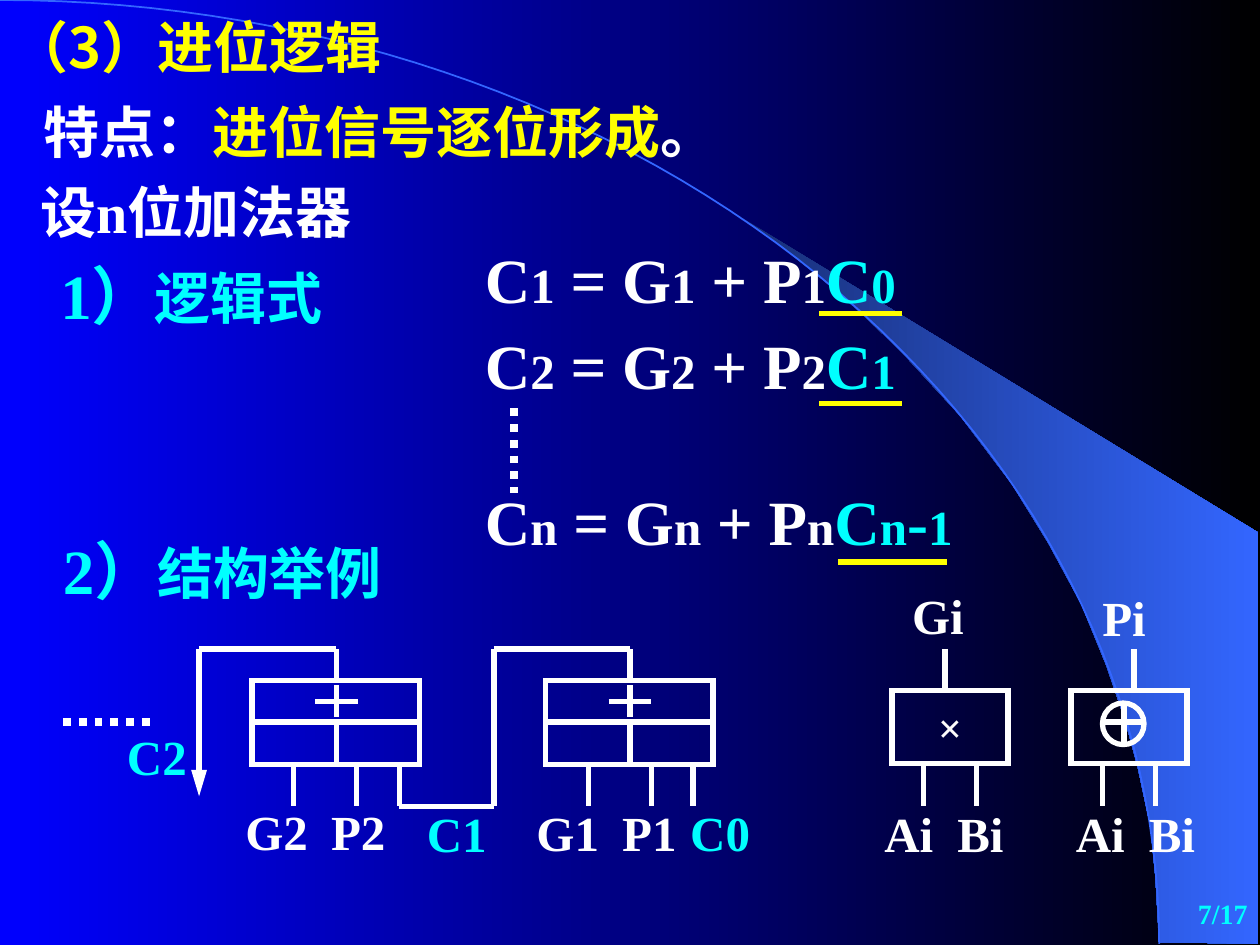
"""Build the carry logic slide: equations, adder chain and gate symbols."""
from math import cos, pi, sin

from lxml.etree import SubElement
from pptx import Presentation
from pptx.dml.color import RGBColor
from pptx.enum.dml import MSO_LINE
from pptx.enum.shapes import MSO_CONNECTOR, MSO_SHAPE
from pptx.enum.text import MSO_ANCHOR, PP_ALIGN
from pptx.oxml.ns import qn
from pptx.util import Cm, Pt

WHITE, YELLOW, CYAN, SKY = "FFFFFF", "FFFF00", "00FFFF", "3366FF"
SERIF, SANS = "Times New Roman", "Noto Sans CJK SC"
BIG, MEDIUM, SMALL = 36, 32, 28

HEADINGS = [
    (0, 38.5, [("（3）进位逻辑", MEDIUM, YELLOW, SANS)]),
    (0.25, 41, [("特点：", MEDIUM, WHITE), ("进位信号逐位形成", MEDIUM, YELLOW), ("。", MEDIUM, WHITE)]),
    (0.22, 38, [("设n位加法器", MEDIUM, WHITE)]),
    (0.38, 42.5, [("1）", BIG, CYAN), ("逻辑式", MEDIUM, CYAN)]),
]
EXAMPLE = [(0, 44, [("2）", BIG, CYAN), ("结构举例", MEDIUM, CYAN)])]
EQUATIONS = [
    ("1", [("0", SMALL)]),
    ("2", [("1", SMALL)]),
    ("n", [("n", SMALL), ("-", BIG), ("1", SMALL)]),
]
LABELS = [
    ("C2", 0.91, 5.72, CYAN), ("C1", 3.29, 6.33, CYAN),
    ("G2", 1.85, 6.31, WHITE), ("P2", 2.53, 6.31, WHITE),
    ("G1", 4.16, 6.32, WHITE), ("P1", 4.84, 6.32, WHITE), ("C0", 5.38, 6.32, CYAN),
    ("Gi", 7.14, 4.6, WHITE), ("Ai", 6.92, 6.33, WHITE), ("Bi", 7.5, 6.33, WHITE),
    ("Pi", 8.65, 4.61, WHITE), ("Ai", 8.44, 6.33, WHITE), ("Bi", 9.02, 6.33, WHITE),
]
UNDERLINES = [(6.5, 7.16, 2.49), (6.5, 7.16, 3.2), (6.65, 7.52, 4.46)]
DOTTED = [(4.08, 3.24, 4.08, 3.91), (0.5, 5.73, 1.25, 5.73)]
ADDERS = [(2, (2.33, 2.83)), (4.33, (4.67, 5.17, 5.5))]
GATES = [(7.08, 7.5, (7.33, 7.75)), (8.5, 9, (8.75, 9.17))]
CARRIES = [
    (3.17, 6.07, 3.17, 6.4), (3.17, 6.4, 3.92, 6.4), (3.92, 6.4, 3.92, 5.15),
    (3.92, 5.15, 5, 5.15), (2.67, 5.15, 1.58, 5.15),
]
BEAM = [
    (9.2, 7.48), (9.99, 7.49), (9.99, 4.23), (5.89, 1.73), (6.24, 1.99), (6.53, 2.22),
    (6.85, 2.5), (7.16, 2.8), (7.62, 3.3), (8.03, 3.84), (8.32, 4.31), (8.58, 4.79),
    (8.78, 5.28), (8.93, 5.72), (9.03, 6.09), (9.13, 6.56), (9.17, 6.96),
]
ARC = [(9.2 * sin(step * pi / 120), 7.49 * (1 - cos(step * pi / 120))) for step in range(61)]


def inch(value):
    return Cm(2.54 * value)


def color(value):
    return RGBColor.from_string(value)


def shade(fill, start, end):
    fill.gradient()
    fill.gradient_angle = 0
    for stop, value in zip(fill.gradient_stops, (start, end)):
        stop.color.rgb = color(value)


def style_line(line, value=WHITE, width=3):
    line.color.rgb = color(value)
    line.width = Pt(width)


def add_line(page, ends, value=WHITE, width=3):
    line = page.shapes.add_connector(MSO_CONNECTOR.STRAIGHT, *map(inch, ends))
    style_line(line.line, value, width)
    SubElement(line._element.spPr, qn("a:effectLst"))
    return line


def add_outline(page, points, close):
    corners = [(inch(x), inch(y)) for x, y in points]
    builder = page.shapes.build_freeform(*corners[0])
    builder.add_line_segments(corners[1:], close=close)
    shape = builder.convert_to_shape()
    shape.shadow.inherit = False
    return shape


def add_frame(page, kind, *place):
    shape = page.shapes.add_shape(kind, *map(inch, place))
    shape.shadow.inherit = False
    shape.fill.background()
    style_line(shape.line)
    SubElement(shape.line._get_or_add_ln(), qn("a:miter"), lim="800000")
    return shape


def add_span(para, text, size, value, face=SERIF):
    span = para.add_run()
    span.text = text
    span.font.size = Pt(size)
    span.font.bold = True
    span.font.name = face
    span.font.color.rgb = color(value)
    SubElement(span._r.get_or_add_rPr(), qn("a:ea"), typeface=SANS)


def add_text(page, place, paragraphs, gap=7.5):
    box = page.shapes.add_textbox(*map(inch, place))
    frame = box.text_frame
    frame.word_wrap = True
    for index, (indent, height, spans) in enumerate(paragraphs):
        para = frame.paragraphs[0] if index == 0 else frame.add_paragraph()
        para.space_before = Pt(gap if index else 0)
        para.line_spacing = Pt(height) if height else None
        para._p.get_or_add_pPr().set("marL", str(inch(indent)))
        for span in spans:
            add_span(para, *span)
    return frame


def equation(index, previous):
    spans = []
    for symbol in ("C", " = G", " + P"):
        spans += [(symbol, BIG, WHITE), (index, SMALL, WHITE)]
    return 0, None, spans + [("C", BIG, CYAN)] + [(text, size, CYAN) for text, size in previous]


def add_backdrop(page):
    shade(page.background.fill, "0000FF", "000000")
    beam = add_outline(page, BEAM, True)
    shade(beam.fill, "182F76", SKY)
    beam.line.fill.background()
    arc = add_outline(page, ARC, False)
    arc.fill.background()
    style_line(arc.line, SKY, 1)


def add_adder(page, left, inputs):
    middle = left + 0.67
    add_frame(page, MSO_SHAPE.RECTANGLE, left, 5.4, 1.33, 0.67)
    for ends in [
        (left, 5.73, left + 1.33, 5.73), (middle, 5.73, middle, 6.07),
        (middle - 0.17, 5.57, middle + 0.17, 5.57), (middle, 5.44, middle, 5.69),
        (middle, 5.15, middle, 5.4),
    ] + [(x, 6.07, x, 6.4) for x in inputs]:
        add_line(page, ends)


def add_gate(page, left, output, inputs):
    gate = add_frame(page, MSO_SHAPE.RECTANGLE, left, 5.48, 0.92, 0.58)
    add_line(page, (output, 5.15, output, 5.48))
    for x in inputs:
        add_line(page, (x, 6.07, x, 6.4))
    return gate


def main():
    deck = Presentation()
    deck.slide_width, deck.slide_height = inch(10), inch(7.5)
    page = deck.slides.add_slide(deck.slide_layouts[6])
    add_backdrop(page)

    add_text(page, (0, 0.05, 7.28, 2.62), HEADINGS)
    equations = add_text(page, (3.75, 1.86, 5.5, 2.62), [equation(*row) for row in EQUATIONS], 6)
    equations.paragraphs[-1].space_before = Pt(46)
    add_text(page, (0.4, 4.16, 3.24, 0.7), EXAMPLE)

    for left, right, top in UNDERLINES:
        add_line(page, (left, top, right, top), YELLOW)
    for ends in DOTTED:
        add_line(page, ends, WHITE, 4.5).line.dash_style = MSO_LINE.ROUND_DOT
    for ends in CARRIES:
        add_line(page, ends)
    arrow = add_line(page, (1.58, 5.15, 1.58, 6.32))
    SubElement(arrow.line._get_or_add_ln(), qn("a:tailEnd"), type="triangle", len="lg")
    for adder in ADDERS:
        add_adder(page, *adder)

    and_gate, _ = [add_gate(page, *gate) for gate in GATES]
    and_gate.text_frame.vertical_anchor = MSO_ANCHOR.MIDDLE
    sign = and_gate.text_frame.paragraphs[0]
    sign.alignment = PP_ALIGN.CENTER
    add_span(sign, "×", 24, "FDFBFB")
    add_line(page, (8.75, 5.73, 9.08, 5.73))
    add_line(page, (8.92, 5.57, 8.92, 5.9))
    add_frame(page, MSO_SHAPE.OVAL, 8.75, 5.58, 0.33, 0.33)

    for text, left, top, value in LABELS:
        add_text(page, (left, top, 0.8, 0.57), [(0, None, [(text, SMALL, value)])])
    number = add_text(page, (7.52, 7, 2.48, 0.5), [(0, None, [("7/17", 16, CYAN)])])
    number.vertical_anchor = MSO_ANCHOR.MIDDLE
    number.paragraphs[0].alignment = PP_ALIGN.RIGHT
    deck.save("out.pptx")


if __name__ == "__main__":
    main()
